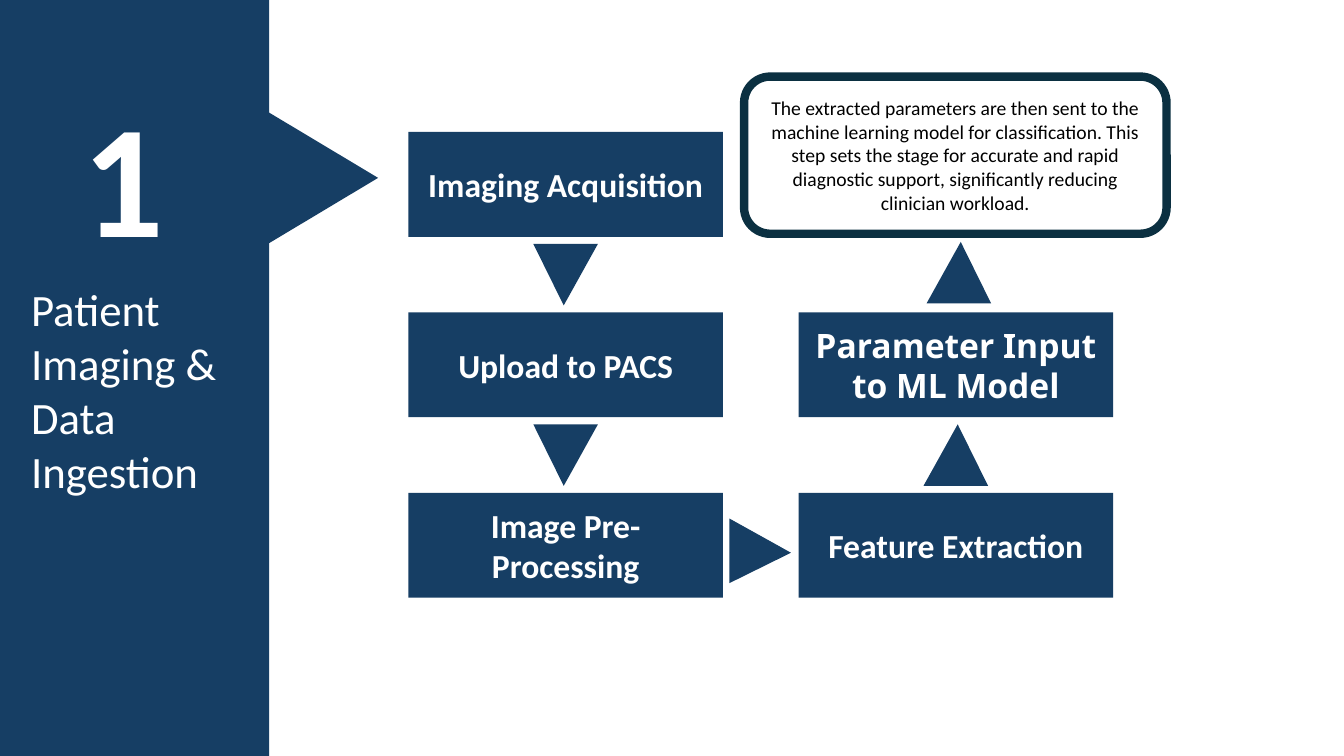
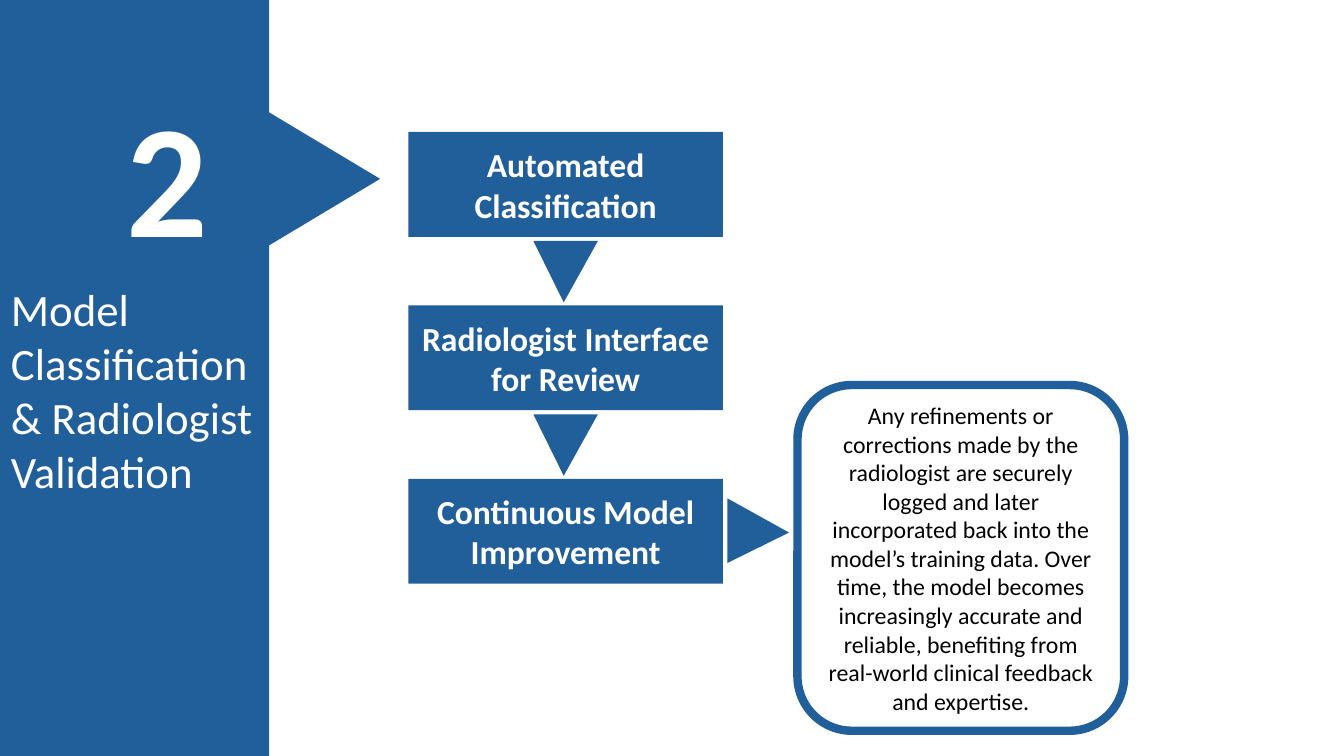
from dataclasses import dataclass

from pptx import Presentation
from pptx.dml.color import RGBColor
from pptx.enum.shapes import MSO_SHAPE
from pptx.enum.text import MSO_ANCHOR, PP_ALIGN
from pptx.util import Pt

RECTANGLE = MSO_SHAPE.RECTANGLE
TRIANGLE = MSO_SHAPE.ISOSCELES_TRIANGLE
ROUNDED = MSO_SHAPE.ROUNDED_RECTANGLE
MIDDLE = MSO_ANCHOR.MIDDLE
LEFT, CENTER = PP_ALIGN.LEFT, PP_ALIGN.CENTER

EMU_PER_PX = 9144  # 100 px to the inch
PAGE_WIDTH, PAGE_HEIGHT = 1333, 750
BAND_WIDTH = 267
STEP_WIDTH, STEP_HEIGHT = 312, 104
STEP_LEFTS = (405, 792)
FIRST_STEP_TOP = 131
ARROW_WIDTH, ARROW_HEIGHT = 64, 61
ARROW_TIP = 0.53
UP, RIGHT, DOWN = 0, 90, 180


@dataclass(frozen=True)
class Theme:
    navy: str = "163E64"
    blue: str = "215F9A"
    dark_teal: str = "0B3041"
    white: str = "FFFFFF"
    black: str = "000000"
    font: str = "Calibri"
    step_font_alt: str = "Noto Sans"
    number_size: int = 115
    title_size: int = 32
    step_size: int = 24
    note_border: int = 6


THEME = Theme()

STAGES = [
    {
        "number": "1",
        "title": "Patient Imaging & Data Ingestion",
        "color": THEME.navy,
        "pointer": (253, 121),
        "number_left": 72,
        "title_left": 21,
        "title_width": 224,
        "row_pitch": 179,
        "steps": [  # column, row, text, font
            (0, 0, "Imaging Acquisition", THEME.font),
            (0, 1, "Upload to PACS", THEME.font),
            (0, 2, "Image Pre-Processing", THEME.font),
            (1, 2, "Feature Extraction", THEME.font),
            (1, 1, "Parameter Input to ML Model", THEME.step_font_alt),
        ],
        "arrows": [(722, 516, RIGHT), (916, 421, UP), (919, 240, UP)],
        "note_frame": (738, 76, 419, 156),
        "note_line": THEME.dark_teal,
        "note_size": 14,
        "note": "The extracted parameters are then sent to the machine learning "
                "model for classification. This step sets the stage for accurate "
                "and rapid diagnostic support, significantly reducing clinician "
                "workload.",
    },
    {
        "number": "2",
        "title": "Model Classification & Radiologist Validation",
        "color": THEME.blue,
        "pointer": (255, 122),
        "number_left": 116,
        "title_left": 1,
        "title_width": 268,
        "row_pitch": 172,
        "steps": [
            (0, 0, "Automated Classification", THEME.font),
            (0, 1, "Radiologist Interface for Review", THEME.font),
            (0, 2, "Continuous Model Improvement", THEME.font),
        ],
        "arrows": [(720, 496, RIGHT)],
        "note_frame": (791, 382, 324, 343),
        "note_line": THEME.blue,
        "note_size": 17,
        "note": "Any refinements or corrections made by the radiologist are "
                "securely logged and later incorporated back into the model’s "
                "training data. Over time, the model becomes increasingly accurate "
                "and reliable, benefiting from real-world clinical feedback and "
                "expertise.",
    },
]


def add_shape(page, kind, frame, fill, rotation=0):
    shape = page.shapes.add_shape(kind, *(px * EMU_PER_PX for px in frame))
    shape.shadow.inherit = False
    shape.fill.solid()
    shape.fill.fore_color.rgb = RGBColor.from_string(fill)
    shape.line.fill.background()
    shape.rotation = rotation
    return shape


def write_text(box, text, size, color=THEME.white, bold=False,
               align=CENTER, font=THEME.font):
    box.text_frame.word_wrap = True
    paragraph = box.text_frame.paragraphs[0]
    paragraph.text = text
    paragraph.alignment = align
    paragraph.font.name = font
    paragraph.font.size = Pt(size)
    paragraph.font.bold = bold
    paragraph.font.color.rgb = RGBColor.from_string(color)


deck = Presentation()
deck.slide_width = PAGE_WIDTH * EMU_PER_PX
deck.slide_height = PAGE_HEIGHT * EMU_PER_PX
blank_layout = deck.slide_layouts[6]

for stage in STAGES:
    page = deck.slides.add_slide(blank_layout)
    color = stage["color"]

    # Side band with pointer, number and title
    add_shape(page, RECTANGLE, (0, 0, BAND_WIDTH, PAGE_HEIGHT), color)
    add_shape(page, TRIANGLE, (*stage["pointer"], 133, 111), color, RIGHT)
    band_texts = [
        (stage["number"], (stage["number_left"], 71, 100, 204),
         THEME.number_size, True),
        (stage["title"], (stage["title_left"], 275, stage["title_width"], 226),
         THEME.title_size, False),
    ]
    for text, frame, size, bold in band_texts:
        box = page.shapes.add_textbox(*(px * EMU_PER_PX for px in frame))
        write_text(box, text, size, bold=bold, align=LEFT)

    # Process steps
    pitch = stage["row_pitch"]
    for column, row, text, font in stage["steps"]:
        frame = (STEP_LEFTS[column], FIRST_STEP_TOP + row * pitch,
                 STEP_WIDTH, STEP_HEIGHT)
        step = add_shape(page, RECTANGLE, frame, color)
        step.text_frame.vertical_anchor = MIDDLE
        write_text(step, text, THEME.step_size, bold=True, font=font)

    # Down arrows centred in the gaps of the first column, then the others
    arrow_left = STEP_LEFTS[0] + (STEP_WIDTH - ARROW_WIDTH) // 2
    arrow_gap = (pitch - STEP_HEIGHT - ARROW_HEIGHT + 1) // 2
    first_arrow_top = FIRST_STEP_TOP + STEP_HEIGHT + arrow_gap
    down_arrows = [(arrow_left, first_arrow_top + row * pitch, DOWN)
                   for row in range(2)]
    for left, top, rotation in down_arrows + stage["arrows"]:
        arrow = add_shape(page, TRIANGLE, (left, top, ARROW_WIDTH, ARROW_HEIGHT),
                          color, rotation)
        arrow.adjustments[0] = ARROW_TIP

    # Outcome note
    note = add_shape(page, ROUNDED, stage["note_frame"], THEME.white)
    note.line.color.rgb = RGBColor.from_string(stage["note_line"])
    note.line.width = Pt(THEME.note_border)
    note.text_frame.vertical_anchor = MIDDLE
    write_text(note, stage["note"], stage["note_size"], THEME.black)

deck.save("out.pptx")
